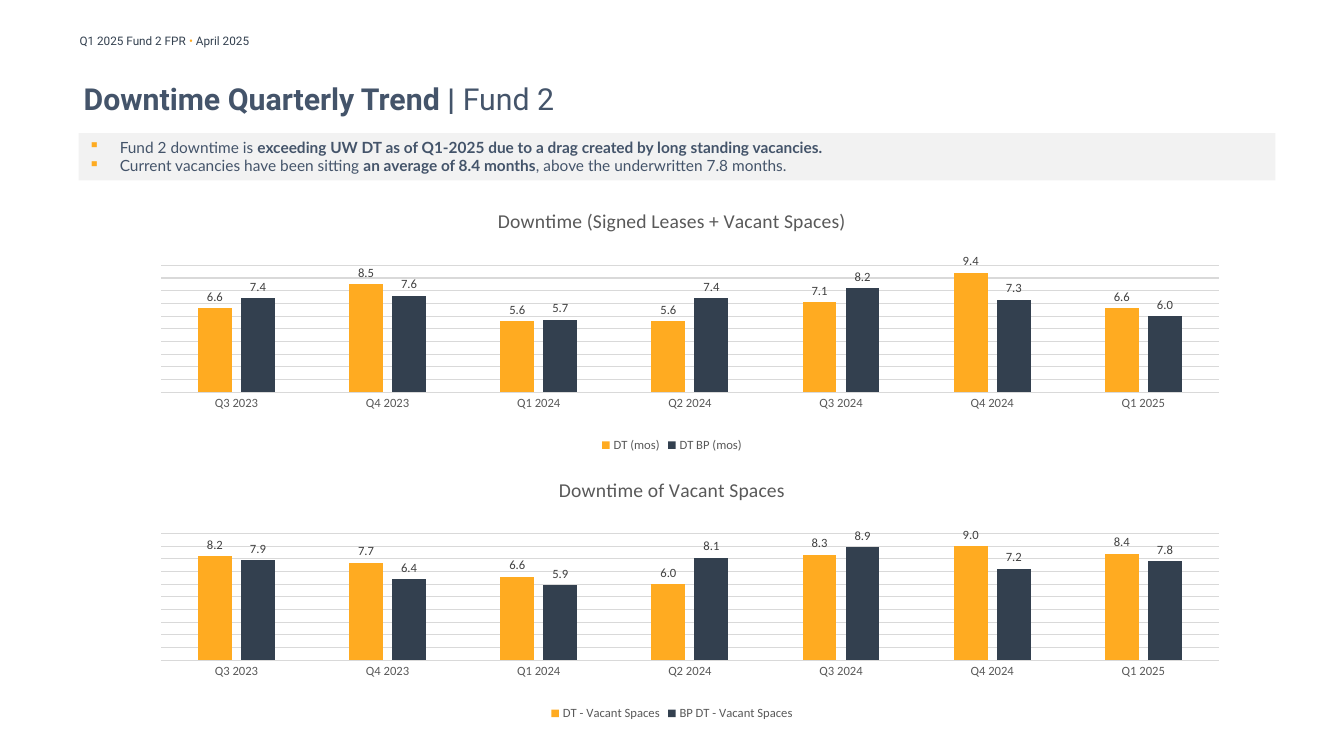
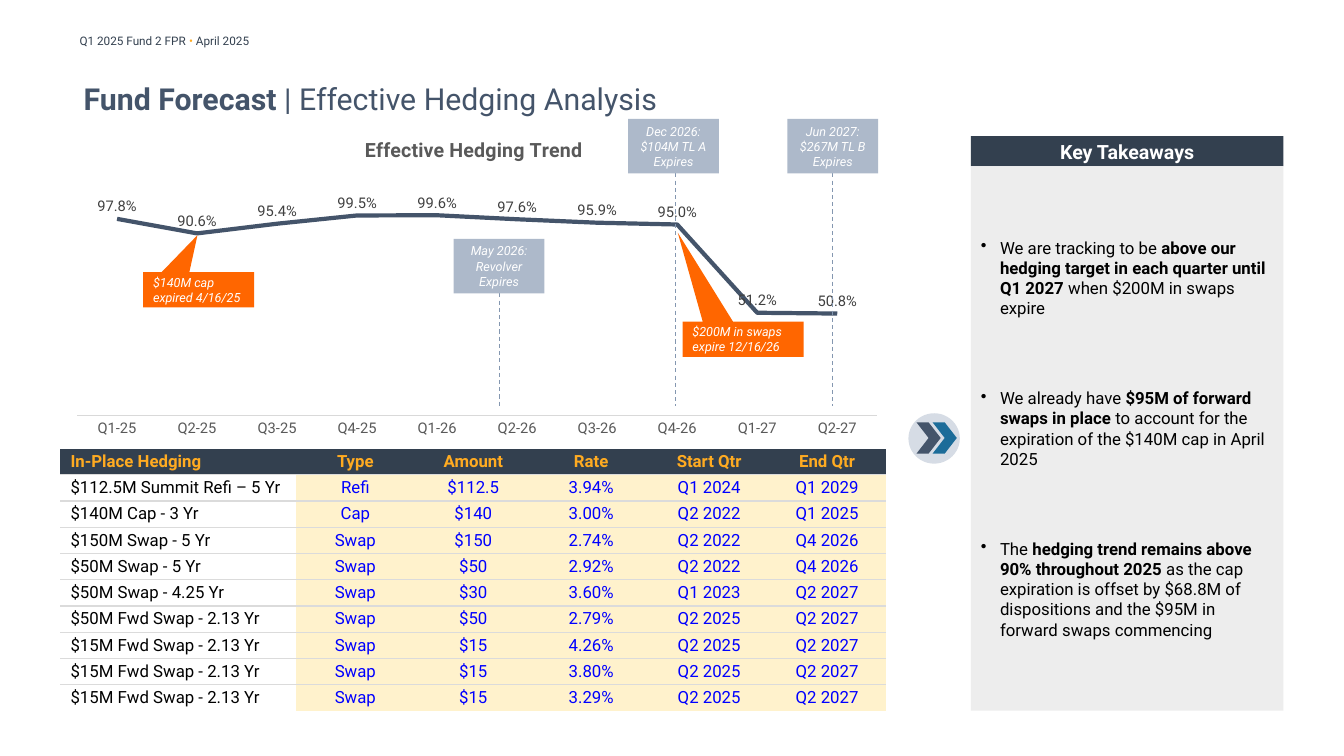
"""Build the two fund review slides: downtime trend and hedging analysis."""
import lxml.etree
import pptx
import pptx.chart.data
import pptx.dml.color
import pptx.enum.chart
import pptx.enum.dml
import pptx.enum.shapes
import pptx.enum.text
import pptx.oxml
import pptx.oxml.ns
import pptx.util

Inches = pptx.util.Inches
Pt = pptx.util.Pt
SHAPE = pptx.enum.shapes.MSO_SHAPE
ALIGN = pptx.enum.text.PP_ALIGN
ANCHOR = pptx.enum.text.MSO_ANCHOR
qn = pptx.oxml.ns.qn

NAVY, SLATE, GOLD, ORANGE = "33404F", "44546A", "FFAB21", "FF6600"
WHITE, BLACK, BLUE, CREAM = "FFFFFF", "000000", "0000FF", "FFF2CC"
AXIS_TEXT, LABEL_TEXT, RULE, ROW_RULE = "595959", "404040", "D9D9D9", "DBDBDB"
DASH, TAG, PANEL, BAND = "8497B0", "ADB9CA", "EDEDED", "F2F2F2"
BADGE, TEAL, BULLET = "D6DCE5", "1C6C99", "FEAB21"
FONT = "Roboto"
NO_TABLE_STYLE = "{2D5ABB26-0587-4C30-8999-92F81FD0307C}"

HEADER = [("Q1 2025 Fund 2 FPR ", NAVY), ("• ", GOLD), ("April 2025", NAVY)]

DOWNTIME_TITLE = "**Downtime Quarterly Trend | **Fund 2"
DOWNTIME_POINTS = [
    "Fund 2 downtime is **exceeding UW DT as of Q1-2025 due to a drag created by long standing vacancies.**",
    "Current vacancies have been sitting **an average of 8.4 months**, above the underwritten 7.8 months.",
]
DOWNTIME_QUARTERS = ["Q3 2023", "Q4 2023", "Q1 2024", "Q2 2024", "Q3 2024", "Q4 2024", "Q1 2025"]
DOWNTIME_CHARTS = [
    ("Downtime (Signed Leases + Vacant Spaces)", {
        "DT (mos)": [6.6, 8.5, 5.6, 5.6, 7.1, 9.4, 6.6],
        "DT BP (mos)": [7.4, 7.6, 5.7, 7.4, 8.2, 7.3, 6.0],
    }),
    ("Downtime of Vacant Spaces", {
        "DT - Vacant Spaces": [8.2, 7.7, 6.6, 6.0, 8.3, 9.0, 8.4],
        "BP DT - Vacant Spaces": [7.9, 6.4, 5.9, 8.1, 8.9, 7.2, 7.8],
    }),
]

HEDGING_TITLE = "**Fund Forecast **| Effective Hedging Analysis"
HEDGING_QUARTERS = ["Q1-25", "Q2-25", "Q3-25", "Q4-25", "Q1-26", "Q2-26", "Q3-26", "Q4-26", "Q1-27", "Q2-27"]
HEDGING_TREND = {"Series 1": [0.978, 0.906, 0.954, 0.995, 0.996, 0.976, 0.959, 0.95, 0.512, 0.508]}
EXPIRIES = [
    (4.5, 2.37, 4.95, ["May 2026: Revolver Expires"]),
    (6.23, 1.18, 6.7, ["Dec 2026:", "$104M TL A Expires"]),
    (7.81, 1.18, 8.26, ["Jun 2027:", "$267M TL B", "Expires"]),
]
TAG_WIDTH, TAG_HEIGHT, DASH_BOTTOM = 0.9, 0.54, 4.03
CALLOUTS = [
    ((1.42, 2.7, 1.1, 0.35), (-0.01, -1.55), "$140M cap expired 4/16/25"),
    ((6.77, 3.19, 1.2, 0.35), (-0.54, -3.02), "$200M in swaps expire 12/16/26"),
]
TAKEAWAYS = [
    "We are tracking to be **above our hedging target in each quarter until Q1 2027** when $200M in swaps expire",
    "We already have **$95M of forward swaps in place** to account for the expiration of the $140M cap in April 2025",
    "The **hedging trend remains above 90% throughout 2025 **as the cap expiration is offset by $68.8M of "
    "dispositions and the $95M in forward swaps commencing",
]
HEDGES = [
    ("In-Place Hedging", "Type", "Amount", "Rate", "Start Qtr", "End Qtr"),
    ("$112.5M Summit Refi – 5 Yr", "Refi", "$112.5", "3.94%", "Q1 2024", "Q1 2029"),
    ("$140M Cap - 3 Yr", "Cap", "$140", "3.00%", "Q2 2022", "Q1 2025"),
    ("$150M Swap - 5 Yr", "Swap", "$150", "2.74%", "Q2 2022", "Q4 2026"),
    ("$50M Swap - 5 Yr", "Swap", "$50", "2.92%", "Q2 2022", "Q4 2026"),
    ("$50M Swap - 4.25 Yr", "Swap", "$30", "3.60%", "Q1 2023", "Q2 2027"),
    ("$50M Fwd Swap - 2.13 Yr", "Swap", "$50", "2.79%", "Q2 2025", "Q2 2027"),
    ("$15M Fwd Swap - 2.13 Yr", "Swap", "$15", "4.26%", "Q2 2025", "Q2 2027"),
    ("$15M Fwd Swap - 2.13 Yr", "Swap", "$15", "3.80%", "Q2 2025", "Q2 2027"),
    ("$15M Fwd Swap - 2.13 Yr", "Swap", "$15", "3.29%", "Q2 2025", "Q2 2027"),
]
HEDGE_WIDTHS = [2.34] + [1.17] * 5


def rgb(value):
    return pptx.dml.color.RGBColor.from_string(value)


def box(left, top, width, height):
    return [Inches(value) for value in (left, top, width, height)]


def style_font(font, size, color, name=FONT, bold=False, italic=False):
    font.size, font.name, font.bold, font.italic = Pt(size), name, bold, italic
    font.color.rgb = rgb(color)


def add_bullet(paragraph, character, indent, color):
    properties = paragraph._p.get_or_add_pPr()
    properties.set("marL", str(Inches(indent)))
    properties.set("indent", str(-Inches(indent)))
    bullet_color = lxml.etree.SubElement(properties, qn("a:buClr"))
    lxml.etree.SubElement(bullet_color, qn("a:srgbClr"), val=color)
    lxml.etree.SubElement(properties, qn("a:buChar"), char=character)


def write_text(frame, lines, size, color, align=ALIGN.LEFT, anchor=ANCHOR.MIDDLE, bullet=None, gap=0, **style):
    frame.word_wrap, frame.vertical_anchor = True, anchor
    for index, line in enumerate(lines):
        paragraph = frame.add_paragraph() if index else frame.paragraphs[0]
        paragraph.alignment = align
        if index and gap:
            paragraph.space_before = Pt(gap)
        if bullet:
            add_bullet(paragraph, *bullet)
        style_font(paragraph.font, size, color, **style)
        for position, part in enumerate(line.split("**")):
            if part:
                run = paragraph.add_run()
                run.text = part
                if position % 2:
                    run.font.bold = True


def add_block(shapes, kind, place, fill):
    shape = shapes.add_shape(kind, *box(*place))
    shape.shadow.inherit = False
    shape.fill.solid()
    shape.fill.fore_color.rgb = rgb(fill)
    shape.line.fill.background()
    return shape


def add_slide(presentation, title):
    slide = presentation.slides.add_slide(presentation.slide_layouts[6])
    header = slide.shapes.add_textbox(*box(0.69, 0.29, 4.51, 0.24)).text_frame
    header.word_wrap = True
    paragraph = header.paragraphs[0]
    paragraph.font.size, paragraph.font.name = Pt(8.4), FONT
    for text, color in HEADER:
        run = paragraph.add_run()
        run.text = text
        run.font.color.rgb = rgb(color)
    frame = slide.shapes.add_textbox(*box(0.83, 0.6, 11.02, 0.75)).text_frame
    frame.margin_left = frame.margin_top = frame.margin_right = frame.margin_bottom = 0
    write_text(frame, [title], 21.6, SLATE)
    return slide


def set_plot_layout(chart, **sizes):
    area = chart._chartSpace.chart.plotArea
    for layout in area.findall(qn("c:layout")):
        area.remove(layout)
    layout = lxml.etree.Element(qn("c:layout"))
    manual = lxml.etree.SubElement(layout, qn("c:manualLayout"))
    settings = {"layoutTarget": "inner", "xMode": "edge", "yMode": "edge", **sizes}
    for tag, value in settings.items():
        lxml.etree.SubElement(manual, qn("c:" + tag), val=str(value))
    area.insert(0, layout)


def add_chart(slide, kind, place, title, categories, series, font, size, number_format, maximum, bold=False):
    data = pptx.chart.data.CategoryChartData(number_format=number_format)
    data.categories = categories
    for name, values in series.items():
        data.add_series(name, values)
    chart = slide.shapes.add_chart(kind, *box(*place), data).chart
    style_font(chart.font, 10, BLACK, font)
    chart.has_title, chart.has_legend = True, False
    heading = chart.chart_title.text_frame
    heading.text = title
    style_font(heading.paragraphs[0].font, 14, AXIS_TEXT, font, bold)
    axis = chart.category_axis
    axis.major_tick_mark = pptx.enum.chart.XL_TICK_MARK.NONE
    axis.format.line.color.rgb = rgb(RULE)
    axis.format.line.width = Pt(0.75)
    style_font(axis.tick_labels.font, size, AXIS_TEXT, font)
    chart.value_axis.minimum_scale, chart.value_axis.maximum_scale = 0, maximum
    plot = chart.plots[0]
    plot.vary_by_categories = False
    plot.has_data_labels = True
    labels = plot.data_labels
    labels.show_value = True
    labels.number_format, labels.number_format_is_linked = number_format, False
    style_font(labels.font, size, LABEL_TEXT, font)
    return chart


def add_downtime_chart(slide, top, title, series):
    kind = pptx.enum.chart.XL_CHART_TYPE.COLUMN_CLUSTERED
    chart = add_chart(slide, kind, (0.93, top, 11.47, 2.61), title, DOWNTIME_QUARTERS, series,
                      "Calibri", 9, "0.0", 10)
    set_plot_layout(chart, x=0.058, y=0.273, w=0.915, h=0.483)
    axis = chart.value_axis
    axis.visible, axis.major_unit = False, 1
    axis.major_gridlines.format.line.color.rgb = rgb(RULE)
    axis.major_gridlines.format.line.width = Pt(0.75)
    chart.has_legend = True
    chart.legend.position = pptx.enum.chart.XL_LEGEND_POSITION.BOTTOM
    chart.legend.include_in_layout = False
    style_font(chart.legend.font, 9, AXIS_TEXT, "Calibri")
    plot = chart.plots[0]
    plot.gap_width, plot.overlap = 219, -27
    plot.data_labels.position = pptx.enum.chart.XL_LABEL_POSITION.OUTSIDE_END
    for bars, color in zip(plot.series, (GOLD, NAVY)):
        bars.format.fill.solid()
        bars.format.fill.fore_color.rgb = rgb(color)


def add_hedging_chart(slide):
    chart = add_chart(slide, pptx.enum.chart.XL_CHART_TYPE.LINE, (0.6, 1.2, 8.2, 3.2), "Effective Hedging Trend",
                      HEDGING_QUARTERS, HEDGING_TREND, FONT, 10.5, "0.0%", 1.2, bold=True)
    set_plot_layout(chart, x=0.02, y=0.165, w=0.968, h=0.75)
    axis = chart.value_axis
    axis.has_major_gridlines = False
    axis.major_tick_mark = pptx.enum.chart.XL_TICK_MARK.NONE
    axis.tick_label_position = pptx.enum.chart.XL_TICK_LABEL_POSITION.NONE
    axis.format.line.fill.background()
    chart.plots[0].data_labels.position = pptx.enum.chart.XL_LABEL_POSITION.ABOVE
    trend = chart.plots[0].series[0]
    trend.smooth = False
    trend.marker.style = pptx.enum.chart.XL_MARKER_STYLE.NONE
    trend.format.line.color.rgb = rgb(SLATE)
    trend.format.line.width = Pt(3)


def add_dashed_line(slide, x, top, bottom):
    line = slide.shapes.add_connector(pptx.enum.shapes.MSO_CONNECTOR.STRAIGHT,
                                      Inches(x), Inches(top), Inches(x), Inches(bottom))
    line.line.color.rgb = rgb(DASH)
    line.line.width = Pt(0.75)
    line.line.dash_style = pptx.enum.dml.MSO_LINE.DASH
    lxml.etree.SubElement(line._element.spPr, qn("a:effectLst"))


def add_border(cell, edge):
    border = lxml.etree.Element(qn("a:" + edge), w=str(Pt(1)))
    fill = lxml.etree.SubElement(border, qn("a:solidFill"))
    lxml.etree.SubElement(fill, qn("a:srgbClr"), val=ROW_RULE)
    cell._tc.get_or_add_tcPr().insert(0, border)


def add_hedge_table(slide):
    place = box(0.6, 4.45, sum(HEDGE_WIDTHS), 0.25 * len(HEDGES))
    table = slide.shapes.add_table(len(HEDGES), len(HEDGE_WIDTHS), *place).table
    table.first_row = table.horz_banding = False
    table._tbl.tblPr.find(qn("a:tableStyleId")).text = NO_TABLE_STYLE
    for column, width in zip(table.columns, HEDGE_WIDTHS):
        column.width = Inches(width)
    for row, values in enumerate(HEDGES):
        for column, text in enumerate(values):
            cell = table.cell(row, column)
            cell.margin_top = cell.margin_bottom = Inches(0.03)
            cell.vertical_anchor = ANCHOR.MIDDLE
            fill, color = (NAVY, GOLD) if row == 0 else (CREAM, BLUE) if column else (WHITE, BLACK)
            cell.fill.solid()
            cell.fill.fore_color.rgb = rgb(fill)
            write_text(cell.text_frame, [text], 12, color, ALIGN.CENTER if column else ALIGN.LEFT, bold=row == 0)
            if row < len(HEDGES) - 1:
                add_border(cell, "lnB")
            if row:
                add_border(cell, "lnT")


def build_downtime(presentation):
    slide = add_slide(presentation, DOWNTIME_TITLE)
    band = add_block(slide.shapes, SHAPE.RECTANGLE, (0.78, 1.32, 11.87, 0.47), BAND)
    write_text(band.text_frame, DOWNTIME_POINTS, 11, SLATE, anchor=ANCHOR.TOP,
               bullet=("▪", 0.31, BULLET), name="Lato")
    for index, (title, series) in enumerate(DOWNTIME_CHARTS):
        add_downtime_chart(slide, 1.92 + 2.66 * index, title, series)


def build_hedging(presentation):
    slide = add_slide(presentation, HEDGING_TITLE)
    shapes = slide.shapes
    add_hedging_chart(slide)
    for left, top, line_x, lines in EXPIRIES:
        add_dashed_line(slide, line_x, top + TAG_HEIGHT, DASH_BOTTOM)
        tag = add_block(shapes, SHAPE.RECTANGLE, (left, top, TAG_WIDTH, TAG_HEIGHT), TAG)
        write_text(tag.text_frame, lines, 9, WHITE, ALIGN.CENTER, italic=True)
    for place, pointer, text in CALLOUTS:
        callout = add_block(shapes, SHAPE.RECTANGULAR_CALLOUT, place, ORANGE)
        callout.adjustments[0], callout.adjustments[1] = pointer
        write_text(callout.text_frame, [text], 9, WHITE, italic=True)
    heading = add_block(shapes, SHAPE.RECTANGLE, (9.63, 1.35, 3.1, 0.3), NAVY)
    write_text(heading.text_frame, ["Key Takeaways"], 14, WHITE, ALIGN.CENTER, bold=True)
    panel = add_block(shapes, SHAPE.RECTANGLE, (9.63, 1.65, 3.1, 5.4), PANEL)
    write_text(panel.text_frame, TAKEAWAYS, 12, BLACK, bullet=("•", 0.19, BLACK), gap=50)
    badge = shapes.add_group_shape().shapes
    add_block(badge, SHAPE.OVAL, (9.01, 4.1, 0.51, 0.5), BADGE)
    for left, color in ((9.09, SLATE), (9.25, TEAL)):
        add_block(badge, SHAPE.CHEVRON, (left, 4.19, 0.24, 0.31), color)
    add_hedge_table(slide)


def main():
    presentation = pptx.Presentation()
    presentation.slide_width, presentation.slide_height = Inches(13.33), Inches(7.5)
    build_downtime(presentation)
    build_hedging(presentation)
    presentation.save("out.pptx")


if __name__ == "__main__":
    main()
